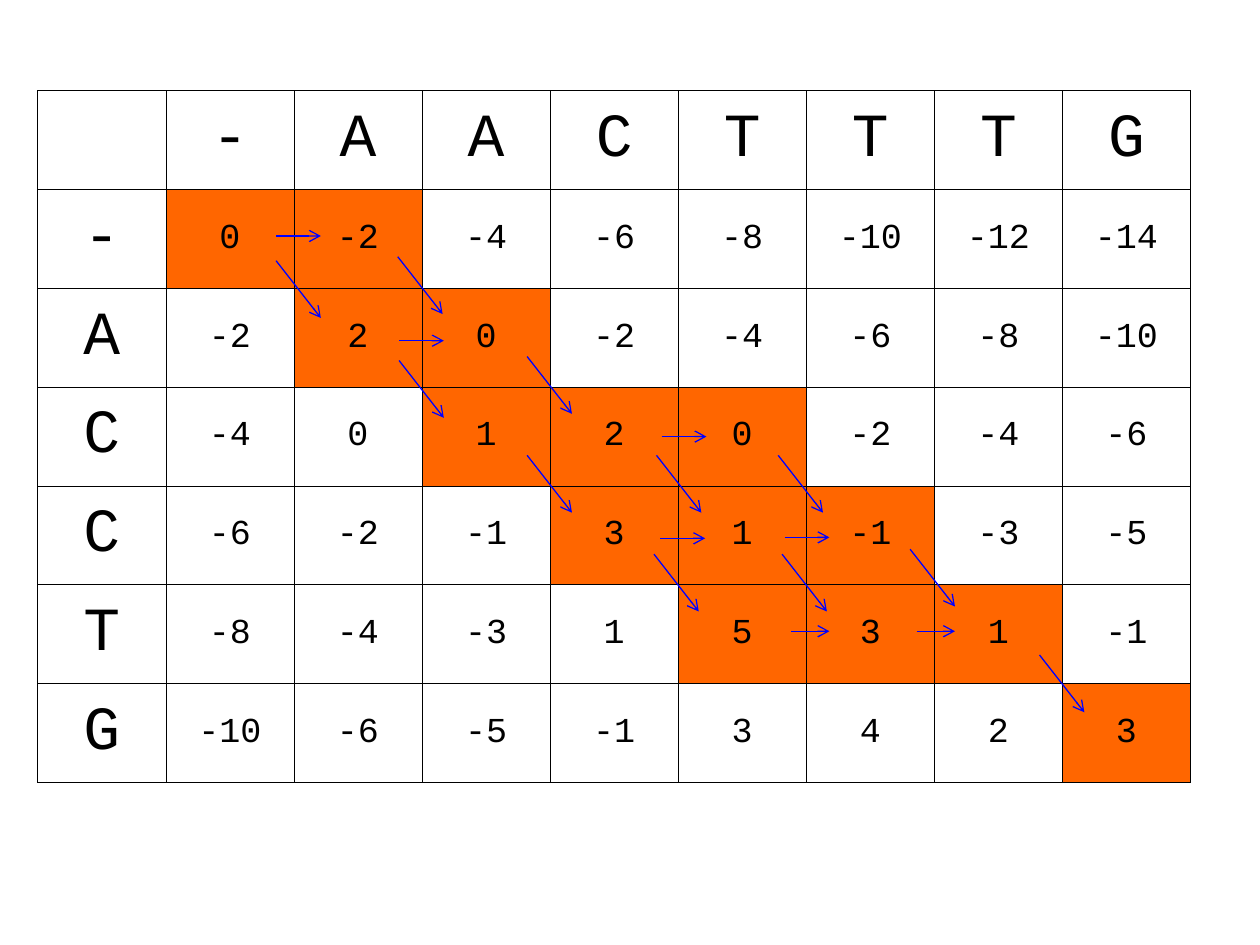
from pptx import Presentation
from pptx.dml.color import RGBColor
from pptx.enum.shapes import MSO_CONNECTOR
from pptx.enum.text import MSO_ANCHOR, PP_ALIGN
from pptx.oxml import parse_xml
from pptx.oxml.ns import nsdecls
from pptx.util import Inches, Pt
from lxml.etree import SubElement
from pptx.oxml.ns import qn

ORANGE = RGBColor(0xFF, 0x66, 0x00)
BLUE = RGBColor(0x00, 0x00, 0xFF)
BLACK = RGBColor(0x00, 0x00, 0x00)
FONT = "Courier New"

ACROSS = "-AACTTTG"
DOWN = "-ACCTG"
SCORES = [
    [0, -2, -4, -6, -8, -10, -12, -14],
    [-2, 2, 0, -2, -4, -6, -8, -10],
    [-4, 0, 1, 2, 0, -2, -4, -6],
    [-6, -2, -1, 3, 1, -1, -3, -5],
    [-8, -4, -3, 1, 5, 3, 1, -1],
    [-10, -6, -5, -1, 3, 4, 2, 3],
]
PATH_COLUMNS = {1: (1, 2), 2: (2, 3), 3: (3, 4, 5), 4: (4, 5, 6), 5: (5, 6, 7), 6: (8,)}

DIAGONAL = (0.35, 0.58)
ACROSS_LONG = (0.35, 0)
ACROSS_SHORT = (0.3, 0)
ARROWS = {
    DIAGONAL: [(1.86, 1.72), (2.82, 2.73), (3.82, 2.69), (3.82, 3.69), (4.81, 4.69),
               (4.83, 3.69), (5.81, 4.69), (7.82, 5.71), (2.81, 1.68), (6.81, 4.64),
               (5.78, 3.69)],
    ACROSS_LONG: [(2.82, 2.53), (4.87, 3.5), (4.86, 4.53), (5.83, 4.52), (1.86, 1.47)],
    ACROSS_SHORT: [(6.86, 5.47), (5.88, 5.47)],
}


def set_borders(cell):
    tcPr = cell._tc.get_or_add_tcPr()
    for side in ("lnL", "lnR", "lnT", "lnB"):
        tcPr.append(parse_xml(
            f'<a:{side} {nsdecls("a")} w="{Pt(0.45)}"><a:solidFill>'
            f'<a:srgbClr val="{BLACK}"/></a:solidFill></a:{side}>'))


def fill_cell(cell, text, size, on_path):
    set_borders(cell)
    if on_path:
        cell.fill.solid()
        cell.fill.fore_color.rgb = ORANGE
    else:
        cell.fill.background()
    cell.vertical_anchor = MSO_ANCHOR.MIDDLE
    p = cell.text_frame.paragraphs[0]
    p.alignment = PP_ALIGN.CENTER
    if text:
        r = p.add_run()
        r.text = text
        r.font.name = FONT
        r.font.size = Pt(size)
        r.font.color.rgb = BLACK


def add_score_table(s, box):
    rows = [["", *ACROSS]] + [[base, *map(str, line)] for base, line in zip(DOWN, SCORES)]
    table = s.shapes.add_table(len(rows), len(rows[0]), *box).table
    table.first_row = table.horz_banding = False
    for column in table.columns:
        column.width = box[2] // len(rows[0])
    for i, row in enumerate(rows):
        table.rows[i].height = box[3] // len(rows)
        for j, text in enumerate(row):
            size = 35 if i == 0 or j == 0 else 20
            fill_cell(table.cell(i, j), text, size, j in PATH_COLUMNS.get(i, ()))


def add_arrow(s, start, end):
    line = s.shapes.add_connector(MSO_CONNECTOR.STRAIGHT, *start, *end)
    line.line.color.rgb = BLUE
    line.line.width = Pt(0.75)
    SubElement(line.line._get_or_add_ln(), qn("a:tailEnd"), type="arrow")
    SubElement(line._element.spPr, qn("a:effectLst"))


def add_path_arrows(s, box):
    left, top, width, height = box
    col, row = width / (len(ACROSS) + 1), height / (len(DOWN) + 1)

    def point(x, y):
        return int(left + x * col), int(top + y * row)

    for (dx, dy), starts in ARROWS.items():
        for x, y in starts:
            add_arrow(s, point(x, y), point(x + dx, y + dy))


def main():
    prs = Presentation()
    prs.slide_width, prs.slide_height = Inches(10), Inches(7.5)
    s = prs.slides.add_slide(prs.slide_layouts[6])
    box = Inches(0.3), Inches(0.72), Inches(9.15), Inches(5.49)
    add_score_table(s, box)
    add_path_arrows(s, box)
    prs.save("out.pptx")


if __name__ == "__main__":
    main()
